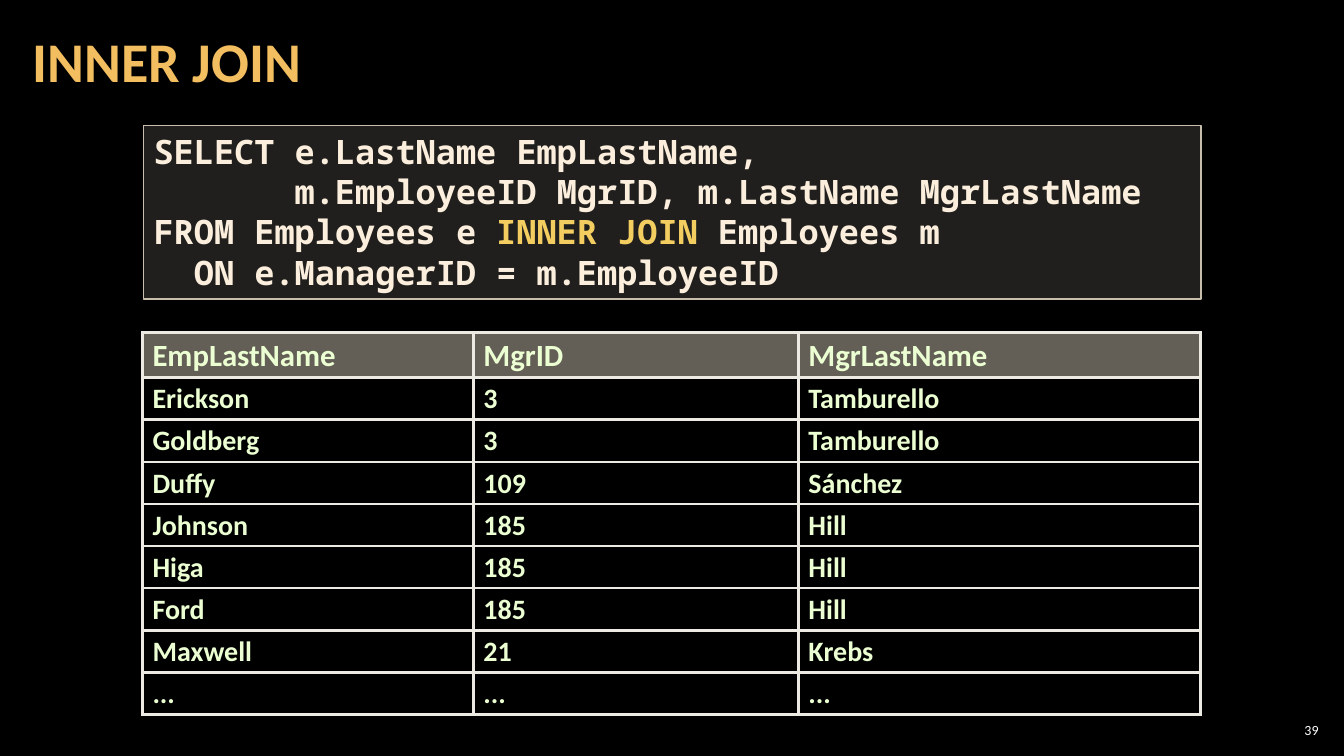
"""Build a slide that explains the SQL INNER JOIN with a query and its result."""
from dataclasses import dataclass

from lxml import etree
from pptx import Presentation
from pptx import util as u
from pptx.dml.color import RGBColor
from pptx.enum import shapes, text
from pptx.oxml.ns import qn

COLORS = {
    "background": "000000",
    "title": "F3BE60",
    "code": "FBEEDC",
    "keyword": "F3CD60",
    "code_fill": "D9D5C7",
    "code_line": "C7BFAC",
    "header_fill": "C7BFAC",
    "border": "ECEAE3",
    "cell": "EBFFD2",
    "number": "FFFFFF",
}
CODE_ADVANCE = u.Pt(14.4)


@dataclass
class CodeLine:
    runs: list[tuple[str, str]]
    indent: int = 0


QUERY = [
    CodeLine([("SELECT e.LastName EmpLastName,", "code")]),
    CodeLine([("m.EmployeeID MgrID, m.LastName MgrLastName", "code")], 7),
    CodeLine([("FROM Employees e ", "code"), ("INNER JOIN ", "keyword"),
              ("Employees m", "code")]),
    CodeLine([("ON e.ManagerID = m.EmployeeID", "code")], 2),
]
RESULT = [
    ("EmpLastName", "MgrID", "MgrLastName"),
    ("Erickson", "3", "Tamburello"),
    ("Goldberg", "3", "Tamburello"),
    ("Duffy", "109", "Sánchez"),
    ("Johnson", "185", "Hill"),
    ("Higa", "185", "Hill"),
    ("Ford", "185", "Hill"),
    ("Maxwell", "21", "Krebs"),
    ("...", "...", "..."),
]
COLUMN_WIDTHS = (8.34, 8.19, 10.14)
HEADER_HEIGHT, ROW_HEIGHT = 1.14, 1.06


def rgb(name: str) -> RGBColor:
    return RGBColor.from_string(COLORS[name])


def write(paragraph, content: str, *, size: float, color: str,
          font: str = "Calibri", bold: bool = True, spacing=None, align=None) -> None:
    run = paragraph.add_run()
    run.text = content
    run.font.name = font
    run.font.size = u.Pt(size)
    run.font.bold = bold
    run.font.color.rgb = rgb(color)
    if spacing is not None:
        paragraph.line_spacing = spacing
    if align is not None:
        paragraph.alignment = align


def fill_translucent(fill, color: str, percent: int) -> None:
    fill.solid()
    fill.fore_color.rgb = rgb(color)
    for srgb in fill._xPr.find(qn("a:solidFill")):
        etree.SubElement(srgb, qn("a:alpha"), val=str(percent * 1000))


def border_cell(cell) -> None:
    properties = cell._tc.get_or_add_tcPr()
    for position, side in enumerate(("a:lnL", "a:lnR", "a:lnT", "a:lnB")):
        line = etree.Element(qn(side), w=str(u.Pt(2.25)))
        solid = etree.SubElement(line, qn("a:solidFill"))
        etree.SubElement(solid, qn("a:srgbClr"), val=COLORS["border"])
        properties.insert(position, line)


def add_label(slide, box: tuple[float, ...], margins: tuple[float, float],
              content: str, **style) -> None:
    label = slide.shapes.add_textbox(*map(u.Cm, box))
    frame = label.text_frame
    frame.word_wrap = True
    frame.vertical_anchor = text.MSO_ANCHOR.MIDDLE
    frame.margin_left = frame.margin_right = u.Cm(margins[0])
    frame.margin_top = frame.margin_bottom = u.Cm(margins[1])
    write(frame.paragraphs[0], content, **style)


def add_query(slide) -> None:
    query = slide.shapes.add_shape(shapes.MSO_SHAPE.RECTANGLE, u.Cm(3.62),
                                   u.Cm(3.17), u.Cm(26.65), u.Cm(4.37))
    query.shadow.inherit = False
    fill_translucent(query.fill, "code_fill", 15)
    query.line.color.rgb = rgb("code_line")
    query.line.width = u.Pt(1)
    frame = query.text_frame
    frame.word_wrap = True
    frame.vertical_anchor = text.MSO_ANCHOR.TOP
    for index, code_line in enumerate(QUERY):
        paragraph = frame.add_paragraph() if index else frame.paragraphs[0]
        if code_line.indent:
            paragraph._p.get_or_add_pPr().set(
                "marL", str(code_line.indent * CODE_ADVANCE))
        for content, color in code_line.runs:
            write(paragraph, content, size=24, color=color, font="Noto Sans Mono",
                  spacing=u.Pt(28.8), align=text.PP_ALIGN.LEFT)


def add_result(slide) -> None:
    height = HEADER_HEIGHT + ROW_HEIGHT * (len(RESULT) - 1)
    result = slide.shapes.add_table(
        len(RESULT), len(COLUMN_WIDTHS), u.Cm(3.59), u.Cm(8.38),
        u.Cm(sum(COLUMN_WIDTHS)), u.Cm(height)).table
    result.horz_banding = False
    for column, width in zip(result.columns, COLUMN_WIDTHS):
        column.width = u.Cm(width)
    for index, record in enumerate(RESULT):
        is_header = index == 0
        result.rows[index].height = u.Cm(HEADER_HEIGHT if is_header else ROW_HEIGHT)
        for column, content in enumerate(record):
            cell = result.cell(index, column)
            if is_header:
                fill_translucent(cell.fill, "header_fill", 50)
            else:
                cell.fill.background()
            border_cell(cell)
            write(cell.text_frame.paragraphs[0], content,
                  size=22 if is_header else 20, color="cell", spacing=0.95)


def main() -> None:
    deck = Presentation()
    deck.slide_width, deck.slide_height = u.Cm(33.87), u.Cm(19.05)
    slide = deck.slides.add_slide(deck.slide_layouts[6])
    slide.background.fill.solid()
    slide.background.fill.fore_color.rgb = rgb("background")
    add_label(slide, (0.53, 0.1, 26.6, 3.07), (0.3, 0.1), "INNER JOIN",
              size=40, color="title", spacing=0.9)
    add_query(slide)
    add_result(slide)
    add_label(slide, (32.13, 18.14, 1.2, 0.53), (0.1, 0.1), "39", size=10,
              color="number", bold=False, align=text.PP_ALIGN.RIGHT)
    deck.save("out.pptx")


if __name__ == "__main__":
    main()
